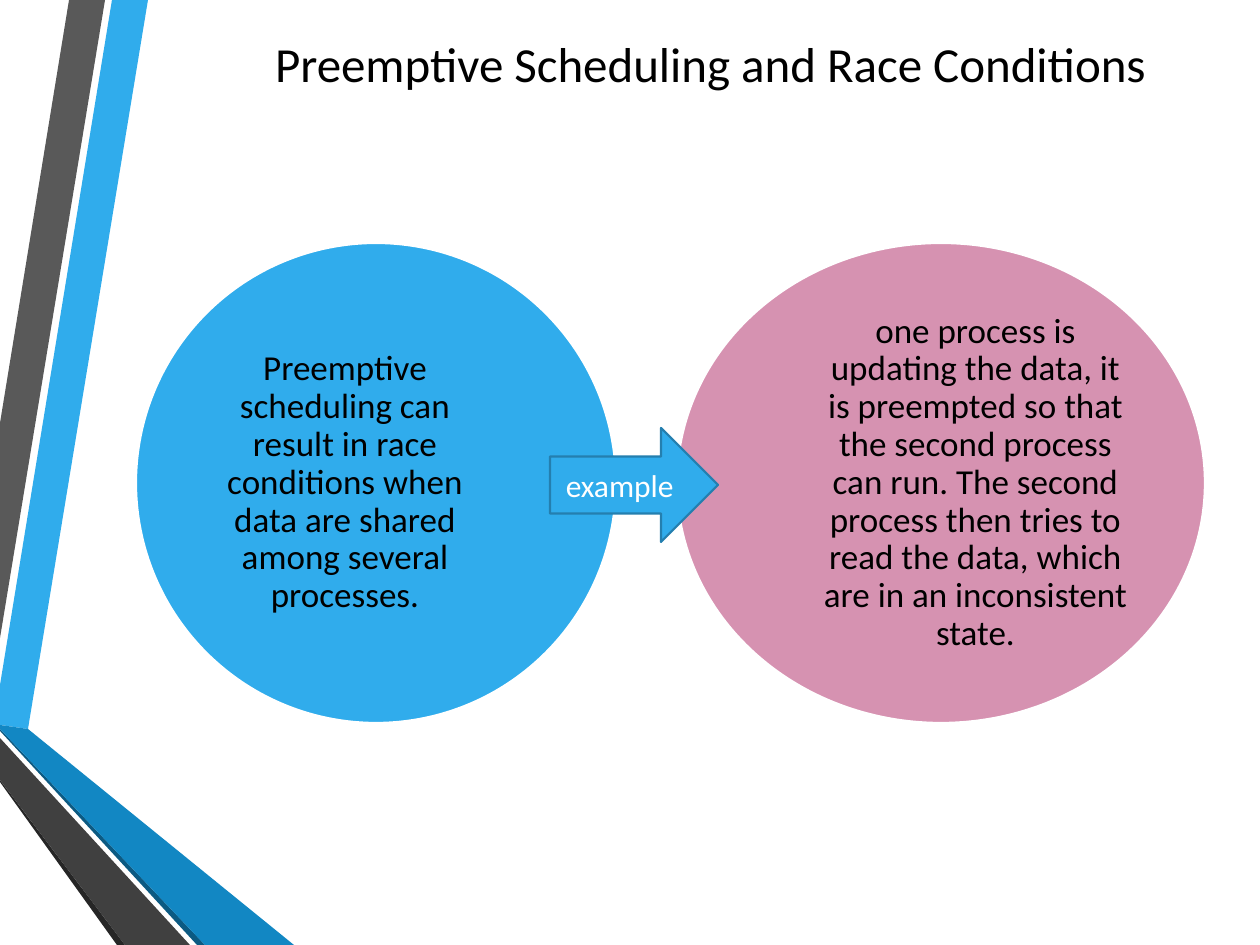
from dataclasses import dataclass

from lxml.etree import SubElement
from pptx import Presentation
from pptx.dml.color import RGBColor
from pptx.enum.shapes import MSO_SHAPE as Shape
from pptx.enum.text import MSO_ANCHOR as Anchor, PP_ALIGN as Align
from pptx.oxml.ns import qn
from pptx.util import Emu, Pt

EMU_PER_PX = 914400 / 126
SLIDE_SIZE = (1260, 945)


@dataclass(frozen=True)
class Theme:
    font: str = "Calibri"
    title_size: int = 28
    body_size: int = 20
    label_size: int = 18
    line_width: float = 1.25
    black: str = "000000"
    white: str = "FFFFFF"
    blue: str = "30ACEC"
    blue_edge: str = "247FAF"
    blue_dark: str = "1287C3"
    blue_shadow: str = "0C5A82"
    berry: str = "AF2764"
    gray: str = "595959"
    gray_dark: str = "404040"
    gray_shadow: str = "262626"


THEME = Theme()

TITLE = "Preemptive Scheduling and Race Conditions"
TITLE_BOX = (170, 23, 1081, 79)

# text, box, fill, opacity in percent, (left, right) inset
CIRCLES = [
    ("Preemptive scheduling can result in race conditions when data are "
     "shared among several processes.",
     (136, 243, 480, 480), THEME.blue, 100, (0, 62)),
    ("one process is updating the data, it is preempted so that the second "
     "process can run. The second process then tries to read the data, which "
     "are in an inconsistent state.",
     (677, 243, 528, 480), THEME.berry, 50, (69, 0)),
]

ARROW_LABEL = "example"
ARROW_BOX = (550, 428, 168, 114)

# fill, corners
RIBBONS = [
    (THEME.blue, [(0, 685), (0, 725), (28, 729), (148, 0), (112, 0)]),
    (THEME.gray, [(105, 0), (69, 0), (0, 423), (0, 638)]),
    (THEME.gray_shadow, [(0, 780), (0, 782), (117, 945), (125, 945)]),
    (THEME.blue_shadow, [(0, 729), (0, 731), (197, 945), (205, 945)]),
    (THEME.blue_dark, [(0, 729), (205, 945), (294, 945), (28, 729), (0, 725)]),
    (THEME.gray_dark, [(0, 780), (125, 945), (190, 945), (0, 738)]),
]


def px(length):
    return Emu(round(length * EMU_PER_PX))


def paint(shape, fill, edge=None, opacity=100):
    shape.shadow.inherit = False
    shape.fill.solid()
    shape.fill.fore_color.rgb = RGBColor.from_string(fill)
    if opacity < 100:
        color = shape.fill._xPr.find(qn("a:solidFill"))[0]
        SubElement(color, qn("a:alpha"), val=str(opacity * 1000))
    if edge:
        shape.line.color.rgb = RGBColor.from_string(edge)
        shape.line.width = Pt(THEME.line_width)
    else:
        shape.line.fill.background()


def write(shape, text, size, color):
    frame = shape.text_frame
    frame.text = text
    frame.word_wrap = True
    frame.vertical_anchor = Anchor.MIDDLE
    paragraph = frame.paragraphs[0]
    paragraph.alignment = Align.CENTER
    font = paragraph.runs[0].font
    font.name, font.size = THEME.font, Pt(size)
    font.color.rgb = RGBColor.from_string(color)
    return frame


def add_ribbon(shapes, fill, corners):
    outline = shapes.build_freeform(*corners[0], scale=EMU_PER_PX)
    outline.add_line_segments(corners[1:], close=True)
    paint(outline.convert_to_shape(), fill)


def add_circle(shapes, text, box, fill, opacity, insets):
    circle = shapes.add_shape(Shape.OVAL, *map(px, box))
    paint(circle, fill, THEME.white, opacity)
    frame = write(circle, text, THEME.body_size, THEME.black)
    frame.margin_left, frame.margin_right = map(px, insets)
    frame.margin_top = frame.margin_bottom = 0
    frame.paragraphs[0].line_spacing = 0.9


def main():
    deck = Presentation()
    deck.slide_width, deck.slide_height = map(px, SLIDE_SIZE)
    shapes = deck.slides.add_slide(deck.slide_layouts[6]).shapes

    for ribbon in RIBBONS:
        add_ribbon(shapes, *ribbon)

    title = shapes.add_textbox(*map(px, TITLE_BOX))
    write(title, TITLE, THEME.title_size, THEME.black)

    for circle in CIRCLES:
        add_circle(shapes, *circle)

    arrow = shapes.add_shape(Shape.RIGHT_ARROW, *map(px, ARROW_BOX))
    paint(arrow, THEME.blue, THEME.blue_edge)
    write(arrow, ARROW_LABEL, THEME.label_size, THEME.white)

    deck.save("out.pptx")


if __name__ == "__main__":
    main()
